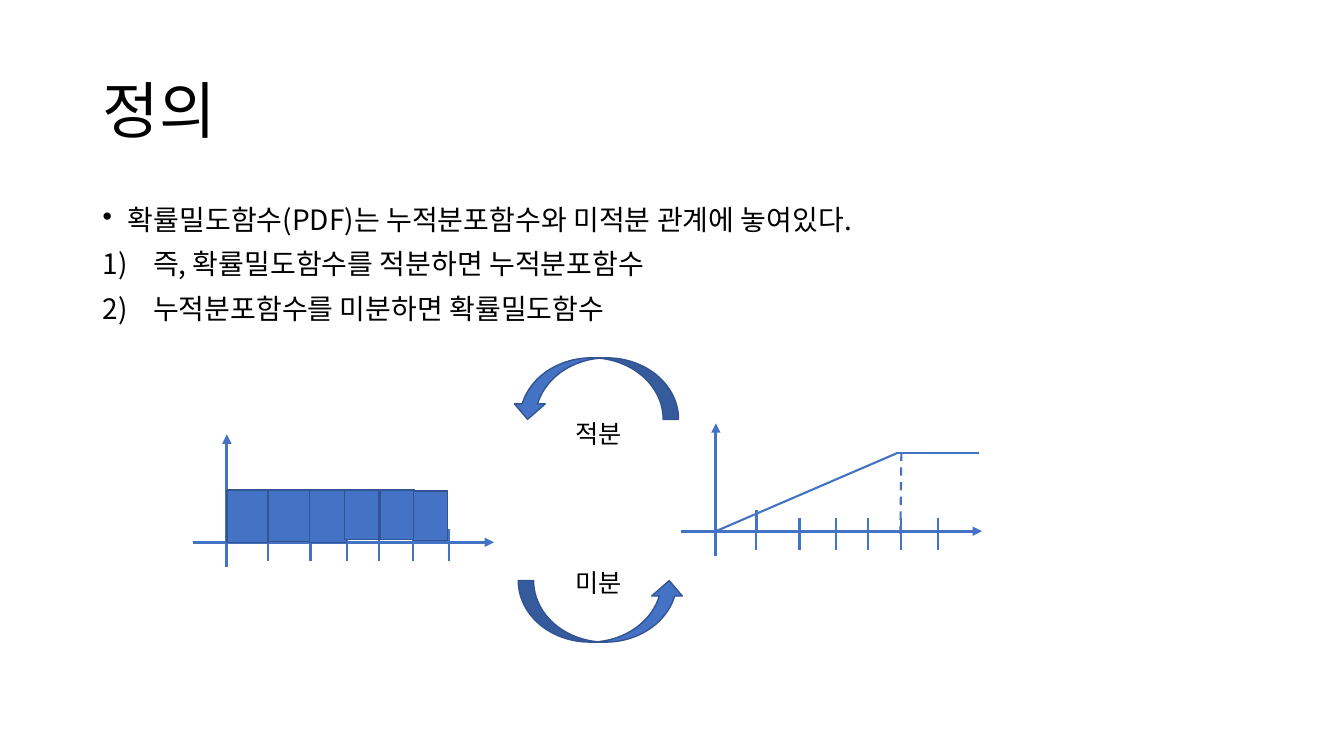
"""Build a slide on how density and cumulative distribution functions relate."""
from lxml import etree
from pptx import Presentation
from pptx.dml.color import RGBColor
from pptx.enum.dml import MSO_LINE
from pptx.enum.shapes import MSO_CONNECTOR, MSO_SHAPE
from pptx.enum.text import MSO_ANCHOR, MSO_AUTO_SIZE, PP_ALIGN
from pptx.oxml.ns import qn
from pptx.util import Inches, Pt

FONT = "Noto Sans CJK KR"
BLACK = RGBColor(0x00, 0x00, 0x00)
BLUE = RGBColor(0x44, 0x72, 0xC4)
DARK_BLUE = RGBColor(0x32, 0x54, 0x91)

BODY = [
    ("확률밀도함수(PDF)는 누적분포함수와 미적분 관계에 놓여있다.", 0.25, ("buChar", "char", "•")),
    ("즉, 확률밀도함수를 적분하면 누적분포함수", 0.5, ("buAutoNum", "type", "arabicParenR")),
    ("누적분포함수를 미분하면 확률밀도함수", 0.5, ("buAutoNum", "type", "arabicParenR")),
]
DENSITY_TICKS = [2.66, 3.08, 3.44, 3.76, 4.1, 4.45]
CUMULATIVE_TICKS = [7.5, 7.93, 8.29, 8.61, 8.94, 9.3]
DENSITY_BARS = [
    (2.25, 4.86, 0.41, 0.52),
    (2.66, 4.86, 0.41, 0.51),
    (3.07, 4.86, 0.37, 0.52),
    (3.42, 4.86, 0.34, 0.49),
    (3.77, 4.86, 0.34, 0.49),
    (4.1, 4.87, 0.34, 0.49),
]


def place(shape, left, top, width, height):
    shape.left, shape.top = Inches(left), Inches(top)
    shape.width, shape.height = Inches(width), Inches(height)


def write_text(para, text, size, spacing=None, before=None, indent=None, bullet=None):
    if bullet:
        tag, attribute, value = bullet
        properties = para._p.get_or_add_pPr()
        properties.set("marL", str(Inches(indent)))
        properties.set("indent", str(-Inches(indent)))
        etree.SubElement(properties, qn("a:" + tag)).set(attribute, value)
    para.alignment = PP_ALIGN.LEFT
    if spacing:
        para.line_spacing = spacing
    if before:
        para.space_before = Pt(before)
    span = para.add_run()
    span.text = text
    span.font.name = FONT
    span.font.size = Pt(size)
    span.font.color.rgb = BLACK
    etree.SubElement(span._r.get_or_add_rPr(), qn("a:ea")).set("typeface", FONT)


def add_title(page, text):
    title = page.shapes.title
    place(title, 0.92, 0.4, 11.5, 1.45)
    title.text_frame.vertical_anchor = MSO_ANCHOR.MIDDLE
    write_text(title.text_frame.paragraphs[0], text, 44, spacing=0.9)


def add_body(page):
    box = page.shapes.add_textbox(Inches(0.92), Inches(2), Inches(11.5), Inches(4.76))
    frame = box.text_frame
    frame.word_wrap = True
    for index, (text, indent, bullet) in enumerate(BODY):
        para = frame.add_paragraph() if index else frame.paragraphs[0]
        write_text(para, text, 20, spacing=0.9, before=10 if index else None,
                   indent=indent, bullet=bullet)


def add_label(page, text, top):
    box = page.shapes.add_textbox(Inches(5.61), Inches(top), Inches(0.71), Inches(0.4))
    box.text_frame.word_wrap = False
    box.text_frame.auto_size = MSO_AUTO_SIZE.SHAPE_TO_FIT_TEXT
    write_text(box.text_frame.paragraphs[0], text, 18)


def add_line(page, start, end, width=1.5, arrow=False, dashed=False):
    line = page.shapes.add_connector(MSO_CONNECTOR.STRAIGHT, *map(Inches, start + end))
    line.line.color.rgb = BLUE
    line.line.width = Pt(width)
    if dashed:
        line.line.dash_style = MSO_LINE.DASH
    if arrow:
        etree.SubElement(line.line._get_or_add_ln(), qn("a:tailEnd")).set("type", "triangle")
    etree.SubElement(line._element.spPr, qn("a:effectLst"))


def add_filled(page, kind, bounds, rotation=0):
    shape = page.shapes.add_shape(kind, *map(Inches, bounds))
    shape.rotation = rotation
    shape.shadow.inherit = False
    shape.fill.solid()
    shape.fill.fore_color.rgb = BLUE
    shape.line.color.rgb = DARK_BLUE
    shape.line.width = Pt(1)


def add_axes(page, origin_x, base_y, left, right, ticks):
    add_line(page, (origin_x, base_y + 0.25), (origin_x, base_y - 1.07), 2.25, arrow=True)
    add_line(page, (left, base_y), (right, base_y), 2.25, arrow=True)
    for tick in ticks:
        add_line(page, (tick, base_y - 0.13), (tick, base_y + 0.19))
    add_line(page, (ticks[0], base_y), (ticks[0], base_y - 0.21), 2.25)


def add_cumulative_graph(page):
    add_axes(page, 7.1, 5.27, 6.75, 9.74, CUMULATIVE_TICKS)
    add_line(page, (7.1, 5.27), (8.91, 4.49))
    add_line(page, (8.91, 4.49), (9.71, 4.49))
    add_line(page, (8.94, 4.49), (8.93, 5.3), dashed=True)


def add_density_graph(page):
    add_axes(page, 2.25, 5.38, 1.91, 4.9, DENSITY_TICKS)
    for bounds in DENSITY_BARS:
        add_filled(page, MSO_SHAPE.RECTANGLE, bounds)


def main():
    deck = Presentation()
    deck.slide_width, deck.slide_height = Inches(13.33), Inches(7.5)
    page = deck.slides.add_slide(deck.slide_layouts[5])
    add_title(page, "정의")
    add_body(page)
    add_cumulative_graph(page)
    add_filled(page, MSO_SHAPE.CURVED_RIGHT_ARROW, (5.6, 3.03, 0.61, 1.65), rotation=90)
    add_filled(page, MSO_SHAPE.CURVED_RIGHT_ARROW, (5.66, 5.24, 0.61, 1.65), rotation=270)
    add_label(page, "적분", 4.1)
    add_label(page, "미분", 5.58)
    add_density_graph(page)
    deck.save("out.pptx")


if __name__ == "__main__":
    main()
